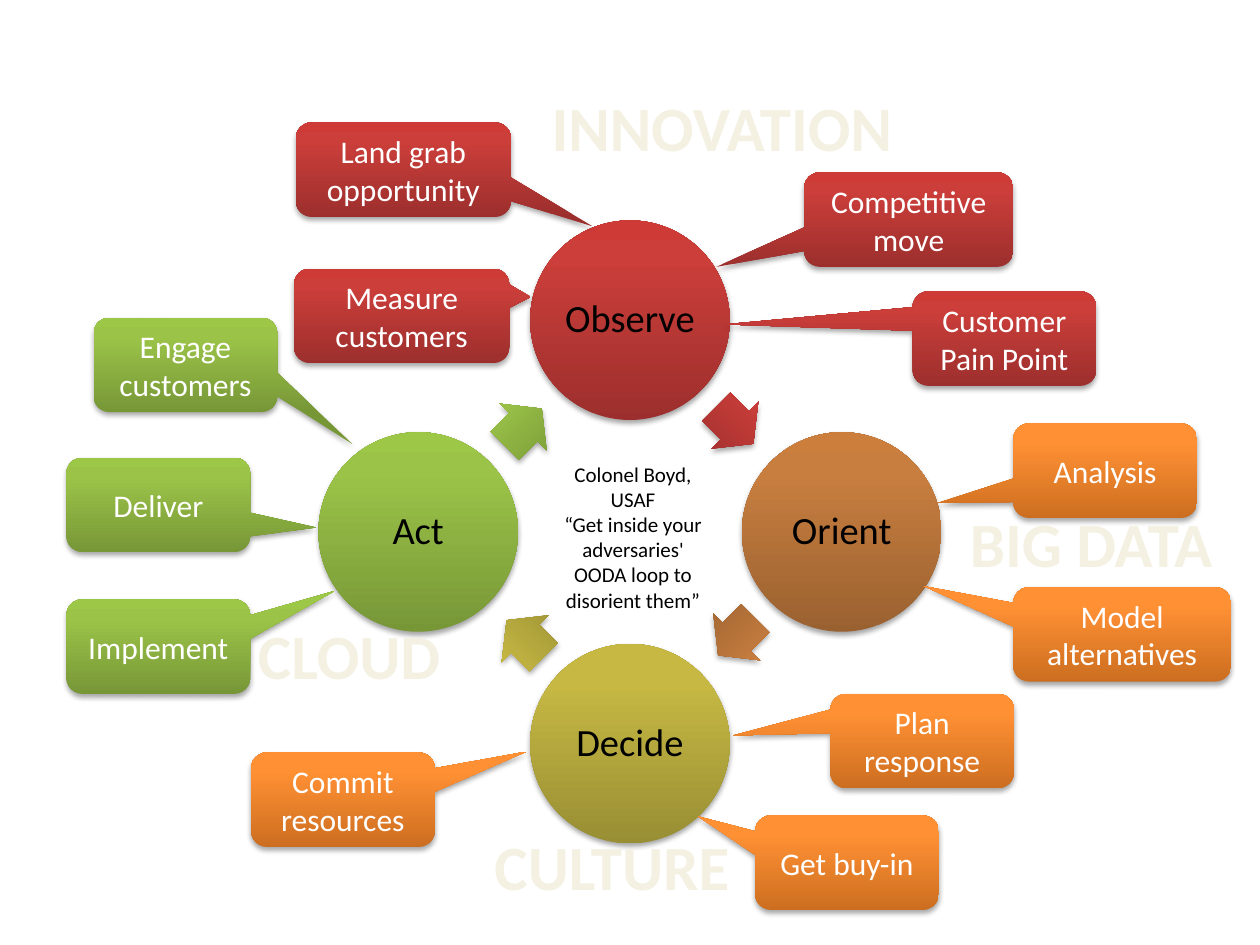
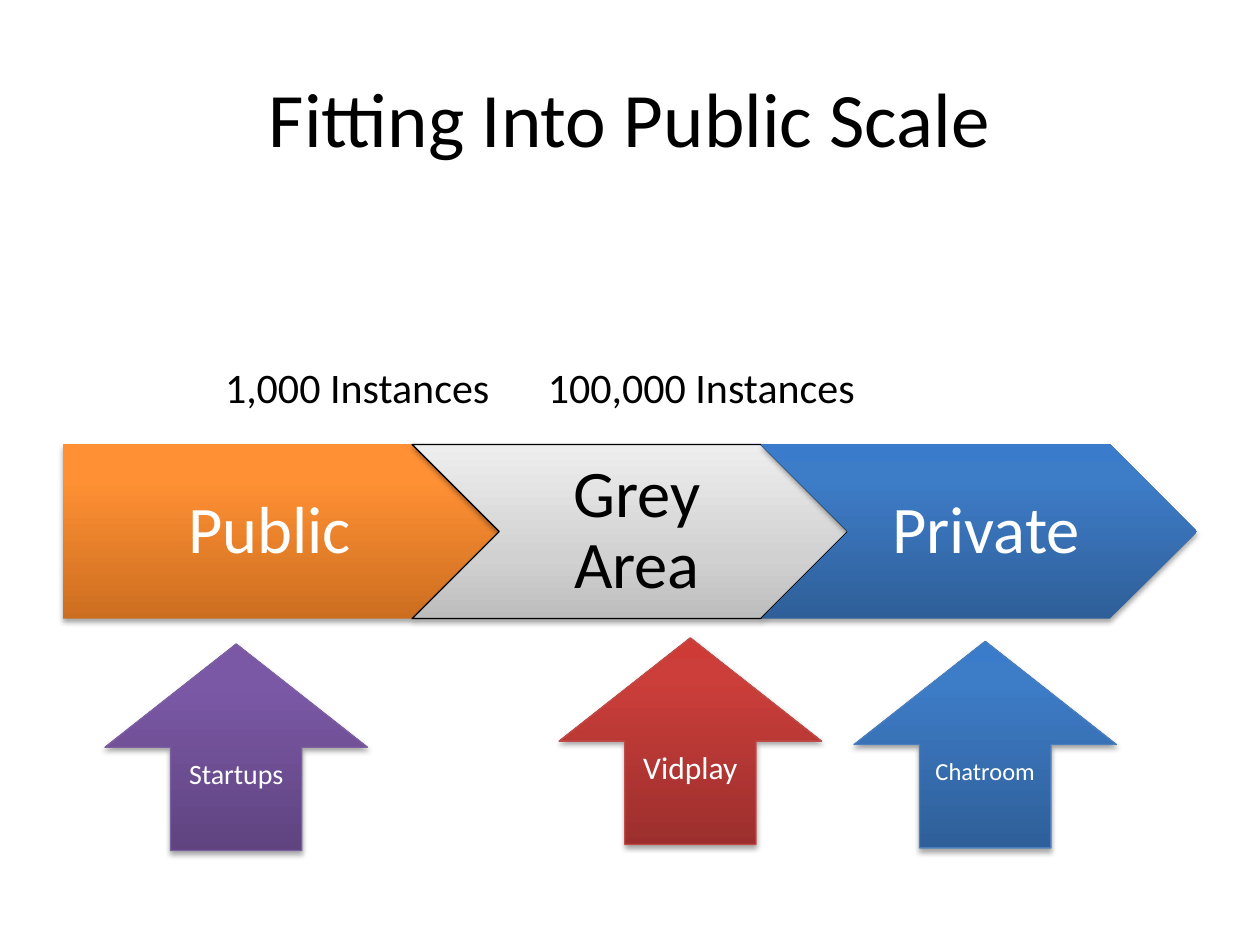
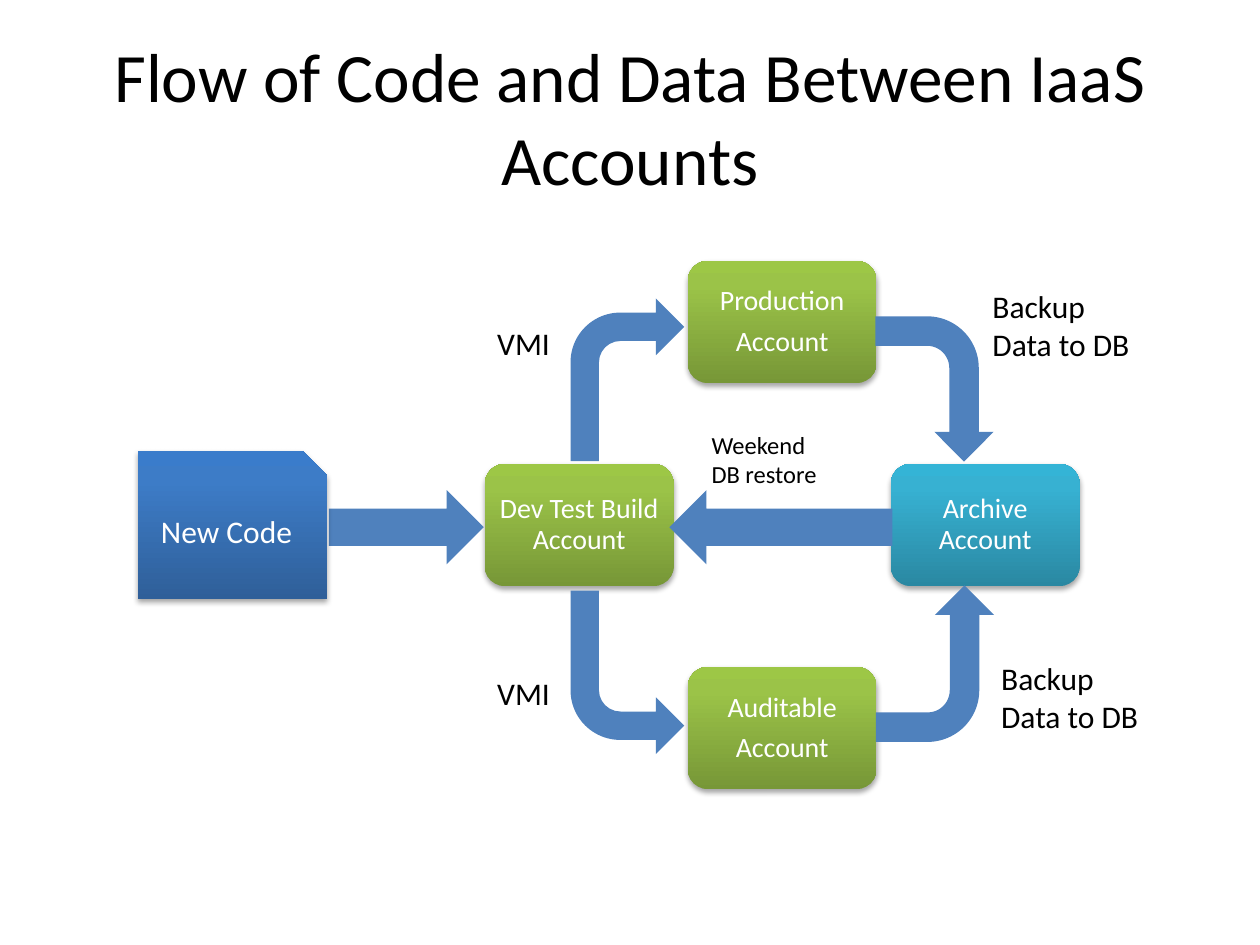
from copy import deepcopy
from math import cos, radians, sin

from lxml import etree
from pptx import Presentation
from pptx.dml import color
from pptx.enum import shapes, text
from pptx.oxml import ns
from pptx.util import Pt

KIND = shapes.MSO_SHAPE
ALIGN = text.PP_ALIGN
ANCHOR = text.MSO_ANCHOR

FONT = "Calibri"
COLORS = {
    "black": "000000",
    "white": "FFFFFF",
    "cream": "F4F1E3",
    "steel": "4F81BD",
    "rust": "BF4C48",
    "navy": "4B7EBC",
    "plum": "7D60A0",
}
BLENDS = {
    "red": {0: "9C2F2D", 80: "CB3E3A", 100: "CE3B37"},
    "brown": {0: "9A6130", 80: "C87E3F", 100: "CC7E3C"},
    "gold": {0: "988E34", 80: "C6B843", 100: "C9BB41"},
    "green": {0: "779737", 80: "9BC348", 100: "9DC746"},
    "orange": {0: "CC6E20", 80: "FF9034", 100: "FF9136"},
    "blue": {0: "2F5F99", 80: "3D7CC7", 100: "3A7CCB"},
    "violet": {0: "5F4480", 80: "7B58A6", 100: "7C57A8"},
    "teal": {0: "2A88A2", 80: "37B1D2", 100: "34B4D6"},
    "grey": {0: "BDBDBD", 35: "D1D1D1", 100: "EEEEEE"},
}


def paint(name):
    return color.RGBColor.from_string(COLORS[name])


def write(frame, words, size=18, ink="white", bold=False, align=ALIGN.CENTER,
          anchor=ANCHOR.MIDDLE, wrap=True, inset=(7.2, 3.6, 7.2, 3.6), tight=False):
    frame.word_wrap = wrap
    frame.vertical_anchor = anchor
    sides = [Pt(side) for side in inset]
    frame.margin_left, frame.margin_top, frame.margin_right, frame.margin_bottom = sides
    frame.text = words
    for para in frame.paragraphs:
        para.alignment = align
        para.font.name = FONT
        para.font.size = Pt(size)
        para.font.bold = bold
        para.font.color.rgb = paint(ink)
        if tight:
            para.line_spacing = 0.9
            para.space_after = Pt(0.35 * size)


class Deck:
    def __init__(self):
        self.show = Presentation()
        self.show.slide_width = Pt(720)
        self.show.slide_height = Pt(540)
        self.slide = None

    def page(self, title=None, size=44):
        self.slide = self.show.slides.add_slide(self.show.slide_layouts[6])
        if title:
            self.label(title, 36, 21.5, 648, 90, size=size, align=ALIGN.CENTER,
                       anchor=ANCHOR.MIDDLE)

    def label(self, words, x, y, w, h, **style):
        box = self.slide.shapes.add_textbox(Pt(x), Pt(y), Pt(w), Pt(h))
        base = {"ink": "black", "align": ALIGN.LEFT, "anchor": ANCHOR.TOP}
        write(box.text_frame, words, **(base | style))

    def plain(self, kind, x, y, w, h, turn=0, flips=""):
        item = self.slide.shapes.add_shape(kind, Pt(x), Pt(y), Pt(w), Pt(h))
        item.shadow.inherit = False
        item.rotation = turn
        item.line.fill.background()
        item.fill.solid()
        item.fill.fore_color.rgb = paint("steel")
        frame = item.element.spPr.find(ns.qn("a:xfrm"))
        for axis in flips:
            frame.set("flip" + axis, "1")
        return item

    def glossy(self, kind, x, y, w, h, blend, words="", edge=None, turn=0, **style):
        item = self.plain(kind, x, y, w, h, turn)
        self.blend(item, BLENDS[blend])
        self.shade(item)
        if edge:
            item.line.color.rgb = paint(edge)
            item.line.width = Pt(0.75)
        if words:
            write(item.text_frame, words, **style)
        return item

    def blend(self, item, stops):
        item.fill.gradient()
        item.fill.gradient_angle = 90
        ramp = item.element.spPr.find(".//" + ns.qn("a:gsLst"))
        ramp.append(deepcopy(ramp[0]))
        for stop, (place, tone) in zip(item.fill.gradient_stops, stops.items()):
            stop.position = place / 100
            stop.color.rgb = color.RGBColor.from_string(tone)

    def shade(self, item):
        effects = item.element.spPr.find(ns.qn("a:effectLst"))
        outer = etree.SubElement(effects, ns.qn("a:outerShdw"), blurRad=str(Pt(3.1)),
                                 dist=str(Pt(1.8)), dir="5400000", rotWithShape="0")
        tone = etree.SubElement(outer, ns.qn("a:srgbClr"), val=COLORS["black"])
        etree.SubElement(tone, ns.qn("a:alpha"), val="35000")

    def callout(self, words, x, y, blend, tip, w=105):
        item = self.glossy(KIND.ROUNDED_RECTANGULAR_CALLOUT, x, y, w, 54, blend, words)
        item.adjustments[0], item.adjustments[1] = tip


def loop(deck):
    deck.page()
    mid_x, mid_y = 360, 304
    hubs = [("Observe", "red"), ("Orient", "brown"), ("Decide", "gold"), ("Act", "green")]
    for step, (name, blend) in enumerate(hubs):
        angle = 90 * step - 90
        x = mid_x + 121 * cos(radians(angle))
        y = mid_y + 121 * sin(radians(angle))
        deck.glossy(KIND.OVAL, x - 57, y - 57, 114, 114, blend, name, size=22,
                    ink="black", inset=(2, 2, 2, 2), tight=True)
        x = mid_x + 85.5 * cos(radians(angle + 44.5))
        y = mid_y + 85.5 * sin(radians(angle + 44.5))
        arrow = deck.glossy(KIND.RIGHT_ARROW, x - 15, y - 19, 30, 38, blend,
                            turn=(angle + 135) % 360)
        arrow.adjustments[0] = 0.6

    for word, x, y, w in [("INNOVATION", 297.5, 47, 230), ("BIG DATA", 543, 285, 161),
                          ("CULTURE", 273.5, 469.5, 152.5), ("CLOUD", 139.5, 349, 120)]:
        deck.label(word, x, y, w, 51, size=36, ink="cream", bold=True,
                   align=ALIGN.CENTER, wrap=False)

    deck.callout("Land grab opportunity", 169, 70, "red", (0.88, 0.6), 123)
    deck.callout("Competitive move", 459.5, 98.5, "red", (-0.92, 0.5), 119.5)
    deck.callout("Customer Pain Point", 521.5, 166.5, "red", (-1.53, -0.15))
    deck.callout("Measure customers", 168, 153.5, "red", (0.6, -0.2), 123)
    deck.callout("Analysis", 579, 242, "orange", (-0.91, 0.34))
    deck.callout("Model alternatives", 579, 335.5, "orange", (-0.91, -0.51), 124.5)
    deck.callout("Plan response", 474.5, 396.5, "orange", (-1.03, -0.06))
    deck.callout("Get buy-in", 431.5, 466, "orange", (-0.81, -0.49))
    deck.callout("Commit resources", 143.5, 430, "orange", (1, -0.51))
    deck.callout("Implement", 38, 342.5, "green", (0.96, -0.59))
    deck.callout("Deliver", 38, 261.5, "green", (0.86, 0.24))
    deck.callout("Engage customers", 53.5, 181.5, "green", (0.91, 0.84))

    deck.label("Colonel Boyd, USAF\n“Get inside your adversaries' OODA loop to disorient them”",
               314.5, 260, 94.5, 94.5, size=12, align=ALIGN.CENTER)


def scale(deck):
    deck.page("Fitting Into Public Scale")
    bands = [(KIND.PENTAGON, "Public", "orange", "white", None, 16),
             (KIND.CHEVRON, "Grey Area", "grey", "black", "black", 12),
             (KIND.CHEVRON, "Private", "blue", "white", None, 12)]
    for spot, (kind, name, blend, ink, edge, left) in enumerate(bands):
        deck.glossy(kind, 36 + 199.5 * spot, 254, 249, 99.5, blend, name, edge,
                    size=38, ink=ink, inset=(left, 8, 4, 8), tight=True)
    for words, x, w in [("1,000 Instances", 121.5, 168), ("100,000 Instances", 306, 192)]:
        deck.label(words, x, 203, w, 36, size=24, wrap=False)
    for name, x, y, blend, edge, size in [("Vidplay", 319.5, 364.5, "red", "rust", 18),
                                          ("Chatroom", 488, 366.5, "blue", "navy", 14),
                                          ("Startups", 60, 368, "violet", "plum", 16)]:
        deck.glossy(KIND.UP_ARROW, x, y, 150, 118, blend, name, edge, size=size)


def flow(deck):
    deck.page("Flow of Code and Data Between IaaS Accounts", 39.6)
    for name, col, row, blend in [("Production\nAccount", 0, -1, "green"),
                                  ("Archive Account", 1, 0, "teal"),
                                  ("Auditable\nAccount", 0, 1, "green"),
                                  ("Dev Test Build Account", -1, 0, "green")]:
        deck.glossy(KIND.ROUNDED_RECTANGLE, 393 + 116 * col, 265 + 116 * row, 108, 70,
                    blend, name, size=16, inset=(5, 5, 5, 5), tight=True)

    for y in (181.5, 381.5):
        deck.label("VMI", 277, y, 45.5, 29, wrap=False)
    for x, y in [(560, 160.5), (565, 373)]:
        deck.label("Backup Data to DB", x, y, 101.5, 51)
    deck.label("Weekend\nDB restore", 399.5, 242, 95, 41, size=14, wrap=False)

    deck.plain(KIND.BENT_ARROW, 326, 170.5, 65, 93)
    deck.plain(KIND.BENT_ARROW, 326, 337.5, 65, 93.5, flips="V")
    deck.plain(KIND.BENT_ARROW, 489.5, 345.5, 89.5, 67.5, 270, "V")
    deck.plain(KIND.BENT_ARROW, 492.5, 188.5, 83, 67.5, 270, "HV")
    deck.plain(KIND.LEFT_ARROW, 382.5, 280, 127.5, 42.5)
    deck.plain(KIND.RIGHT_ARROW, 188, 280, 88.5, 42.5)
    deck.glossy(KIND.SNIP_1_RECTANGLE, 79, 257.5, 108, 85, "blue", "New Code")


def main():
    deck = Deck()
    loop(deck)
    scale(deck)
    flow(deck)
    deck.show.save("out.pptx")


if __name__ == "__main__":
    main()
